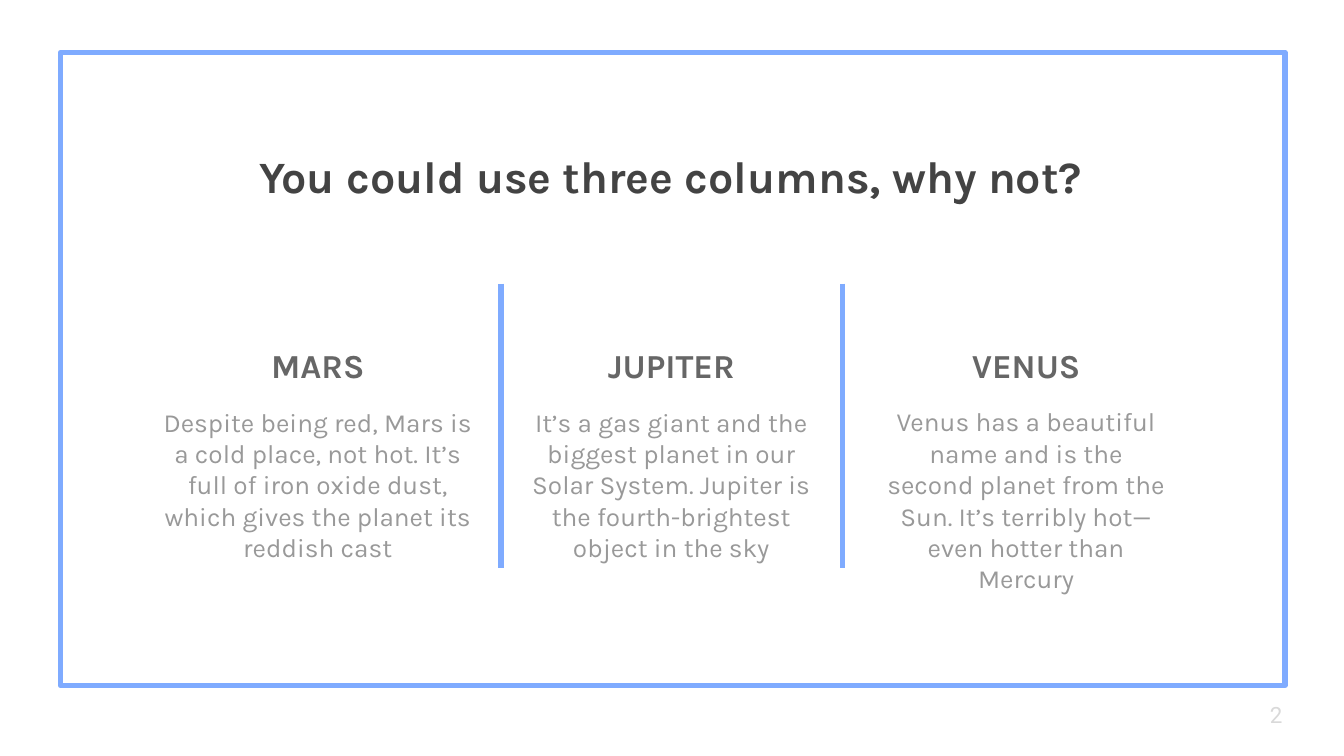
from lxml.etree import SubElement
from pptx import Presentation
from pptx.dml.color import RGBColor
from pptx.enum.shapes import MSO_CONNECTOR, MSO_SHAPE
from pptx.enum.text import MSO_ANCHOR, MSO_AUTO_SIZE, PP_ALIGN
from pptx.oxml.ns import qn
from pptx.util import Inches, Pt

WHITE = RGBColor(0xFF, 0xFF, 0xFF)
BLUE = RGBColor(0x7F, 0xAB, 0xFF)
CHARCOAL = RGBColor(0x43, 0x43, 0x43)
DARK_GRAY = RGBColor(0x66, 0x66, 0x66)
GRAY = RGBColor(0x99, 0x99, 0x99)
LIGHT_GRAY = RGBColor(0xD9, 0xD9, 0xD9)

COLUMNS = [
    (1.21, 2.5, "MARS",
     "Despite being red, Mars is a cold place, not hot. It’s full of iron oxide dust, "
     "which gives the planet its reddish cast"),
    (3.84, 2.31, "JUPITER",
     "It’s a gas giant and the biggest planet in our Solar System. "
     "Jupiter is the fourth-brightest object in the sky"),
    (6.48, 2.31, "VENUS",
     "Venus has a beautiful name and is the second planet from the Sun. "
     "It’s terribly hot—even hotter than Mercury"),
]
COLUMN_WIDTH = 2.31


class PlanetSlide:
    font = "Karla"
    line_width = Pt(3)
    inset = Inches(0.1)

    def __init__(self, presentation):
        self.slide = presentation.slides.add_slide(presentation.slide_layouts[4])
        self.slide.background.fill.solid()
        self.slide.background.fill.fore_color.rgb = WHITE
        self.placeholders = list(self.slide.placeholders)

    def style_line(self, line):
        line.color.rgb = BLUE
        line.width = self.line_width

    def frame(self, left, top, width, height):
        shape = self.slide.shapes.add_shape(
            MSO_SHAPE.RECTANGLE, Inches(left), Inches(top), Inches(width), Inches(height))
        shape.shadow.inherit = False
        shape.fill.background()
        self.style_line(shape.line)
        SubElement(shape.line._get_or_add_ln(), qn("a:round"))

    def divider(self, x, top, bottom):
        connector = self.slide.shapes.add_connector(
            MSO_CONNECTOR.STRAIGHT, Inches(x), Inches(top), Inches(x), Inches(bottom))
        self.style_line(connector.line)
        SubElement(connector._element.spPr, qn("a:effectLst"))

    def text(self, box, content, size, color, bold=False, anchor=MSO_ANCHOR.TOP,
             align=PP_ALIGN.CENTER, font=None, placeholder=True):
        left, top, width, height = (Inches(value) for value in box)
        if placeholder and self.placeholders:
            shape = self.placeholders.pop(0)
            shape.left, shape.top, shape.width, shape.height = left, top, width, height
        else:
            shape = self.slide.shapes.add_textbox(left, top, width, height)
        frame = shape.text_frame
        frame.word_wrap = True
        frame.auto_size = MSO_AUTO_SIZE.NONE
        frame.vertical_anchor = anchor
        frame.margin_left = frame.margin_right = self.inset
        frame.margin_top = frame.margin_bottom = self.inset
        paragraph = frame.paragraphs[0]
        paragraph.alignment = align
        paragraph.line_spacing = 1.0
        paragraph.space_before = paragraph.space_after = Pt(0)
        properties = paragraph._p.get_or_add_pPr()
        properties.set("marL", "0")
        properties.set("indent", "0")
        SubElement(properties, qn("a:buNone"))
        run = paragraph.add_run()
        run.text = content
        run.font.name = font or self.font
        run.font.size = Pt(size)
        run.font.bold = bold
        run.font.color.rgb = color

    def column(self, left, body_width, heading, body):
        body_left = left - (body_width - COLUMN_WIDTH) / 2
        self.text((left, 2.26, COLUMN_WIDTH, 0.71), heading, 18, DARK_GRAY,
                  bold=True, anchor=MSO_ANCHOR.BOTTOM)
        self.text((body_left, 2.92, body_width, 1.7), body, 14, GRAY)


def main():
    presentation = Presentation()
    presentation.slide_width = Inches(10)
    presentation.slide_height = Inches(10) * 9 // 16
    planets = PlanetSlide(presentation)
    planets.frame(0.45, 0.39, 9.11, 4.71)
    planets.text((-0.01, 1.01, 10, 0.53), "You could use three columns, why not?",
                 24, CHARCOAL, bold=True)
    for x in (3.73, 6.27):
        planets.divider(x, 2.11, 4.23)
    for column in COLUMNS:
        planets.column(*column)
    planets.text((9.35, 5.1, 0.6, 0.43), "2", 12, LIGHT_GRAY, anchor=MSO_ANCHOR.MIDDLE,
                 align=PP_ALIGN.LEFT, font="Roboto", placeholder=False)
    presentation.save("out.pptx")


if __name__ == "__main__":
    main()
